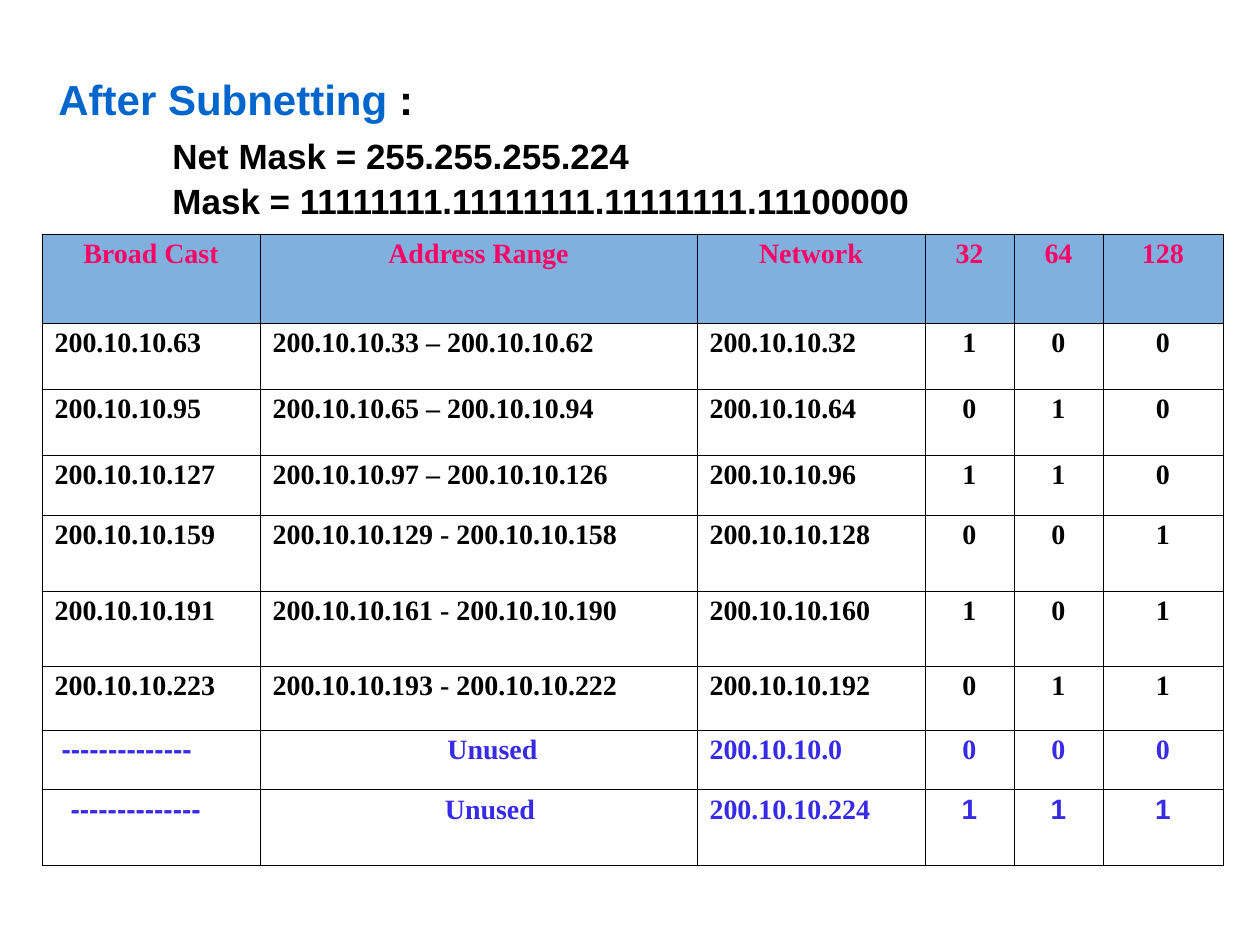
import lxml.etree
import pptx
import pptx.dml.color
import pptx.enum.text
import pptx.oxml.ns
import pptx.util

EMU_PER_PX = 914400 / 126
BLACK, PINK, VIOLET, BLUE = "000000", "FF0066", "382BE7", "0066CC"
HEADER_FILL = "0563C1"
SANS, SERIF = "Arial", "Times New Roman"

COLUMN_WIDTHS = [218, 437, 228, 89, 89, 120]
ROW_HEIGHTS = [89, 66, 66, 60, 76, 75, 64, 60, 76]
DASHES = "--------------"
ROWS = [
    ["Broad Cast", "Address Range", "Network", "32", "64", "128"],
    ["200.10.10.63", "200.10.10.33 – 200.10.10.62", "200.10.10.32", "1", "0", "0"],
    ["200.10.10.95", "200.10.10.65 – 200.10.10.94", "200.10.10.64", "0", "1", "0"],
    ["200.10.10.127", "200.10.10.97 – 200.10.10.126", "200.10.10.96", "1", "1", "0"],
    ["200.10.10.159", "200.10.10.129 - 200.10.10.158", "200.10.10.128", "0", "0", "1"],
    ["200.10.10.191", "200.10.10.161 - 200.10.10.190", "200.10.10.160", "1", "0", "1"],
    ["200.10.10.223", "200.10.10.193 - 200.10.10.222", "200.10.10.192", "0", "1", "1"],
    [DASHES, "Unused", "200.10.10.0", "0", "0", "0"],
    [DASHES, "Unused", "200.10.10.224", "1", "1", "1"],
]
FIRST_UNUSED_ROW = 7
# (row, column): left indent in px
CELL_INDENTS = {(7, 0): 7, (7, 1): 28, (8, 0): 16, (8, 1): 23}
SANS_CELLS = {(7, 0), (8, 0), (8, 3), (8, 4), (8, 5)}


def px(length):
    return pptx.util.Emu(round(length * EMU_PER_PX))


def rgb(color):
    return pptx.dml.color.RGBColor.from_string(color)


def indent(paragraph, length):
    properties = paragraph._p.get_or_add_pPr()
    properties.set("marL", str(px(length)))
    properties.set("indent", "0")


def format_run(run, size, font_name, color):
    run.font.size = pptx.util.Pt(size)
    run.font.name = font_name
    run.font.bold = True
    run.font.color.rgb = rgb(color)


def add_heading(slide, left, top, width, height):
    box = slide.shapes.add_textbox(px(left), px(top), px(width), px(height))
    frame = box.text_frame
    frame.word_wrap = True
    lines = [
        (12, 0, 24, [("After Subnetting", BLUE), (" :", BLACK)]),
        (126, 4.5, 20, [("Net Mask = 255.255.255.224", BLACK)]),
        (126, 0, 20, [("Mask = 11111111.11111111.11111111.11100000", BLACK)]),
    ]
    for number, (left_indent, space_before, size, pieces) in enumerate(lines):
        paragraph = frame.add_paragraph() if number else frame.paragraphs[0]
        indent(paragraph, left_indent)
        paragraph.line_spacing = 1.07
        paragraph.space_before = pptx.util.Pt(space_before)
        for text, color in pieces:
            run = paragraph.add_run()
            run.text = text
            format_run(run, size, SANS, color)


def add_child(parent, tag, **attributes):
    return lxml.etree.SubElement(parent, pptx.oxml.ns.qn(tag), attributes)


def add_borders(cell):
    properties = cell._tc.get_or_add_tcPr()
    for side in ("a:lnL", "a:lnR", "a:lnT", "a:lnB"):
        line = add_child(properties, side, w=str(pptx.util.Pt(0.45)))
        add_child(add_child(line, "a:solidFill"), "a:srgbClr", val=BLACK)


def fill_header(cell):
    cell.fill.solid()
    cell.fill.fore_color.rgb = rgb(HEADER_FILL)
    color = cell._tc.tcPr.find(".//" + pptx.oxml.ns.qn("a:solidFill") + "[last()]/"
                               + pptx.oxml.ns.qn("a:srgbClr") + "[@val='" + HEADER_FILL + "']")
    add_child(color, "a:alpha", val="50000")


def fill_cell(cell, row, column):
    paragraph = cell.text_frame.paragraphs[0]
    paragraph.text = ROWS[row][column]
    paragraph.line_spacing = 0.95
    is_centred = row == 0 or column >= 3 or paragraph.text == "Unused"
    alignment = pptx.enum.text.PP_ALIGN
    paragraph.alignment = alignment.CENTER if is_centred else alignment.LEFT
    indent(paragraph, CELL_INDENTS.get((row, column), 0))
    color = PINK if row == 0 else VIOLET if row >= FIRST_UNUSED_ROW else BLACK
    font_name = SANS if (row, column) in SANS_CELLS else SERIF
    format_run(paragraph.runs[0], 16, font_name, color)
    add_borders(cell)
    if row == 0:
        fill_header(cell)
    else:
        cell.fill.background()


def add_subnet_table(slide, left, top):
    table = slide.shapes.add_table(
        len(ROWS), len(COLUMN_WIDTHS), px(left), px(top),
        px(sum(COLUMN_WIDTHS)), px(sum(ROW_HEIGHTS))).table
    table.first_row = table.horz_banding = False
    for column, width in zip(table.columns, COLUMN_WIDTHS):
        column.width = px(width)
    for row_number, height in enumerate(ROW_HEIGHTS):
        table.rows[row_number].height = px(height)
        for column_number in range(len(COLUMN_WIDTHS)):
            fill_cell(table.cell(row_number, column_number), row_number, column_number)


def main():
    presentation = pptx.Presentation()
    presentation.slide_width, presentation.slide_height = px(1260), px(945)
    slide = presentation.slides.add_slide(presentation.slide_layouts[6])
    add_heading(slide, 34, 64, 1191, 156)
    add_subnet_table(slide, 42, 234)
    presentation.save("out.pptx")


if __name__ == "__main__":
    main()
